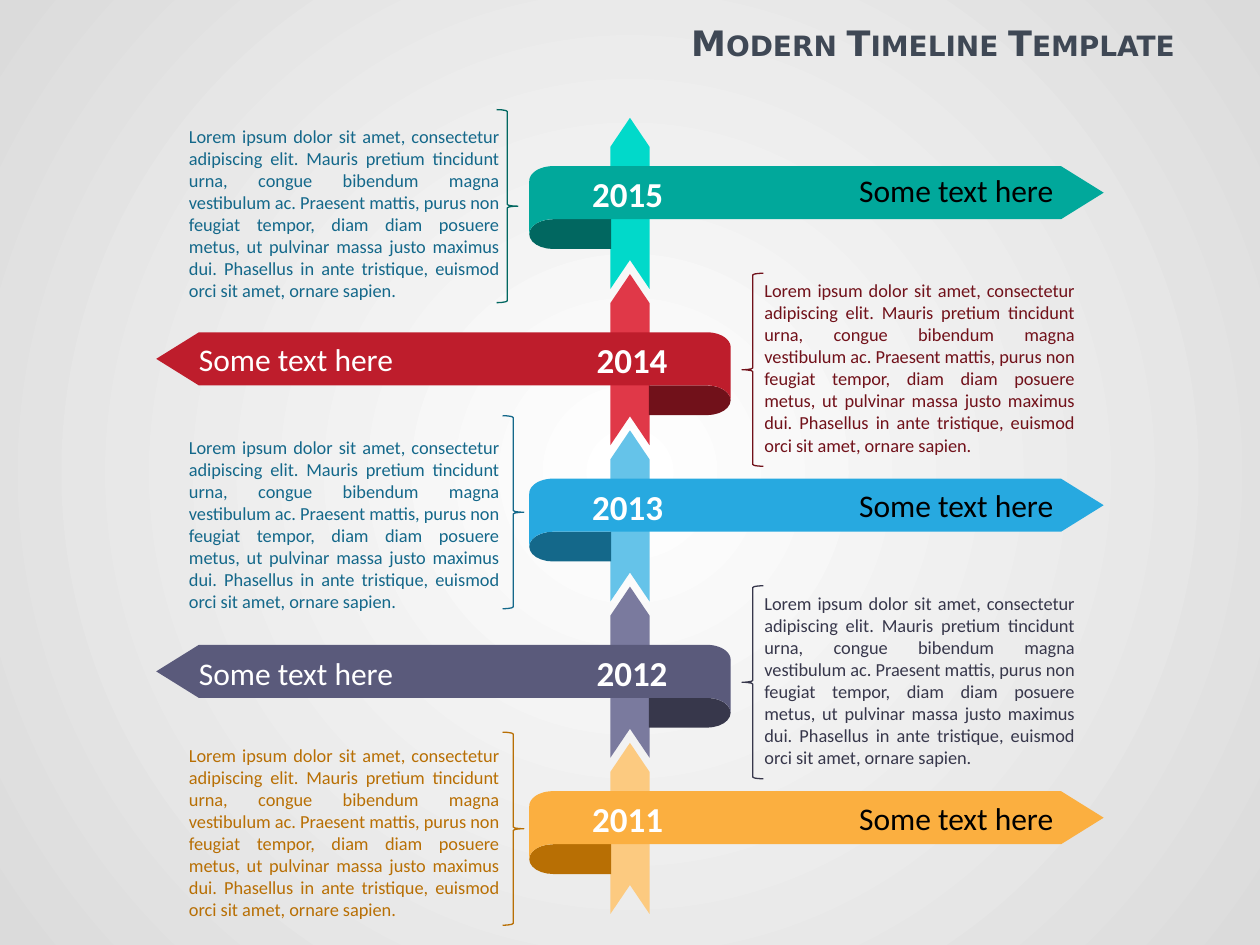
from math import cos, pi, sin

from lxml import etree
from pptx import Presentation
from pptx.dml.color import RGBColor
from pptx.enum.shapes import MSO_SHAPE
from pptx.enum.text import MSO_ANCHOR, PP_ALIGN
from pptx.oxml.ns import qn
from pptx.util import Cm, Pt

NOTCHED_ARROW, LEFT_BRACE = MSO_SHAPE.NOTCHED_RIGHT_ARROW, MSO_SHAPE.LEFT_BRACE
TOP, MIDDLE = MSO_ANCHOR.TOP, MSO_ANCHOR.MIDDLE
LEFT, RIGHT, JUSTIFY = PP_ALIGN.LEFT, PP_ALIGN.RIGHT, PP_ALIGN.JUSTIFY

TITLE = "Modern Timeline Template "
LABEL = "Some text here"
BODY = (
    "Lorem ipsum dolor sit amet, consectetur adipiscing elit. Mauris pretium "
    "tincidunt urna, congue bibendum magna vestibulum ac. Praesent mattis, purus "
    "non feugiat tempor, diam diam posuere metus, ut pulvinar massa justo maximus "
    "dui. Phasellus in ante tristique, euismod orci sit amet, ornare sapien."
)
# Tops are in centimetres; brace is (left, top).
YEARS = [
    dict(year="2015", spine="01D9CA", ribbon="01A89B", fold="016760", text="14688A",
         body_top=2.39, brace=(10.01, 2.21), label_top=3.33),
    dict(year="2014", spine="E03848", ribbon="BE1D2C", fold="71111A", text="71111A",
         body_top=5.51, brace=(14.96, 5.51), label_top=6.73),
    dict(year="2013", spine="65C3E9", ribbon="27A9E0", fold="14688A", text="14688A",
         body_top=8.66, brace=(10.13, 8.38), label_top=9.68),
    dict(year="2012", spine="7A7A9E", ribbon="5A5A7B", fold="37374B", text="37374B",
         body_top=11.81, brace=(14.96, 11.81), label_top=13.06),
    dict(year="2011", spine="FCCA80", ribbon="FBAF40", fold="B86F04", text="B86F04",
         body_top=14.88, brace=(10.13, 14.76), label_top=15.98),
]

THEME = {
    "background": ("FFFFFF", "DBDBDB"),
    "title": dict(size=Pt(20), name="DejaVu Sans", bold=True, color="3F4855"),
    "year": dict(size=Pt(20), name="Calibri", bold=True, color="FFFFFF"),
    "label": dict(size=Pt(18), name="Calibri"),
    "body": dict(size=Pt(10.5), name="Calibri"),
    "label_colors": {1: "000000", -1: "FFFFFF"},
}

SPINE_X, PITCH = 12.7, 3.15
FIRST_ARROW_Y, ARROW_LENGTH, ARROW_WIDTH = 4.1, 3.45, 0.79
FIRST_RIBBON_TOP, LEFT_RIBBON_DROP = 3.35, 0.2
RIBBON_START = 2.03  # from the folded end to the spine
RIBBON_HEIGHT, SHOULDER, TIP = 1.07, 10.72, 11.58
CURVE_WIDTH, CURVE_HEIGHT = 0.48, 0.3
FOLD_WIDTH = 1.65
BODY_LEFT = {1: 3.56, -1: 15.16}
LABEL_LEFT = {1: 17.07, -1: 3.76}


def curve(top, first, last, steps=12):
    """Points of the rounded end, by angle in quarter turns, below the given top."""
    angles = [(first + (last - first) * i / steps) * pi / 2 for i in range(steps + 1)]
    return [(CURVE_WIDTH * (1 + cos(a)), top + CURVE_HEIGHT * (1 + sin(a)))
            for a in angles]


# Outlines run from the folded end, for a ribbon that points right.
RIBBON = [(TIP, RIBBON_HEIGHT / 2), (SHOULDER, RIBBON_HEIGHT),
          *curve(RIBBON_HEIGHT, 3, 2), *curve(0, 2, 3), (SHOULDER, 0)]
FOLD = [(FOLD_WIDTH, RIBBON_HEIGHT), (FOLD_WIDTH, RIBBON_HEIGHT + 2 * CURVE_HEIGHT),
        *curve(RIBBON_HEIGHT, 1, 3)]


def paint(shape, color):
    shape.shadow.inherit = False
    shape.fill.solid()
    shape.fill.fore_color.rgb = RGBColor.from_string(color)
    shape.line.fill.background()


def write(shape, text, style, align, **frame_format):
    frame = shape.text_frame
    for name, value in {"word_wrap": True, "vertical_anchor": TOP, **frame_format}.items():
        setattr(frame, name, value)
    para = frame.paragraphs[0]
    para.alignment = align
    span = para.add_run()
    span.text = text
    for name, value in style.items():
        if name == "color":
            span.font.color.rgb = RGBColor.from_string(value)
        else:
            setattr(span.font, name, value)
    return span


def add_box(page, left, top, width, height, *content, **frame_format):
    box = page.shapes.add_textbox(Cm(left), Cm(top), Cm(width), Cm(height))
    return write(box, *content, **frame_format)


def add_outline(page, points, top, side, color):
    """Draw an outline at the spine, mirrored when side is -1."""
    places = [(Cm(SPINE_X + side * (x - RIBBON_START)), Cm(top + y)) for x, y in points]
    builder = page.shapes.build_freeform(*places[0])
    builder.add_line_segments(places[1:], close=True)
    shape = builder.convert_to_shape()
    paint(shape, color)
    return shape


def add_arrow(page, center_y, color):
    arrow = page.shapes.add_shape(
        NOTCHED_ARROW, Cm(SPINE_X - ARROW_LENGTH / 2), Cm(center_y - ARROW_WIDTH / 2),
        Cm(ARROW_LENGTH), Cm(ARROW_WIDTH))
    arrow.rotation = 270
    arrow.adjustments[0], arrow.adjustments[1] = 1, 0.74
    paint(arrow, color)


def add_brace(page, left, top, side, color):
    brace = page.shapes.add_shape(LEFT_BRACE, Cm(left), Cm(top), Cm(0.43), Cm(3.89))
    brace.rotation = 180 if side == 1 else 0
    brace.shadow.inherit = False
    brace.fill.background()
    brace.line.color.rgb = RGBColor.from_string(color)
    brace.line.width = Pt(0.75)


def set_background(page):
    fill = page.background.fill
    fill.gradient()
    for stop, color in zip(fill.gradient_stops, THEME["background"]):
        stop.color.rgb = RGBColor.from_string(color)
    linear = next(page.background._cSld.iter(qn("a:lin")))
    gradient = linear.getparent()
    gradient.remove(linear)
    radial = etree.SubElement(gradient, qn("a:path"), {"path": "circle"})
    etree.SubElement(radial, qn("a:fillToRect"), dict.fromkeys("ltrb", "50000"))


def add_year(page, index, item):
    side = -1 if index % 2 else 1
    top = FIRST_RIBBON_TOP + index * PITCH + (LEFT_RIBBON_DROP if side == -1 else 0)
    add_arrow(page, FIRST_ARROW_Y + index * PITCH, item["spine"])
    add_outline(page, FOLD, top, side, item["fold"])
    ribbon = add_outline(page, RIBBON, top, side, item["ribbon"])
    write(ribbon, item["year"], THEME["year"], LEFT if side == 1 else RIGHT,
          margin_left=Cm(1.27), margin_right=Cm(1.27),
          margin_top=Cm(0.13), margin_bottom=Cm(0.13))
    add_box(page, BODY_LEFT[side], item["body_top"], 6.76, 3.48, BODY,
            {**THEME["body"], "color": item["text"]}, JUSTIFY)
    add_brace(page, *item["brace"], side, item["fold"])
    add_box(page, LABEL_LEFT[side], item["label_top"], 4.47, 1.02, LABEL,
            {**THEME["label"], "color": THEME["label_colors"][side]}, LEFT,
            word_wrap=False)


def main():
    deck = Presentation()
    deck.slide_width, deck.slide_height = Cm(25.4), Cm(19.05)
    page = deck.slides.add_slide(deck.slide_layouts[6])
    set_background(page)
    title = add_box(page, 8.1, 0, 16.03, 1.73, TITLE, THEME["title"], RIGHT,
                    vertical_anchor=MIDDLE)
    title.font._element.set("cap", "small")
    for index, item in enumerate(YEARS):
        add_year(page, index, item)
    deck.save("out.pptx")


if __name__ == "__main__":
    main()
